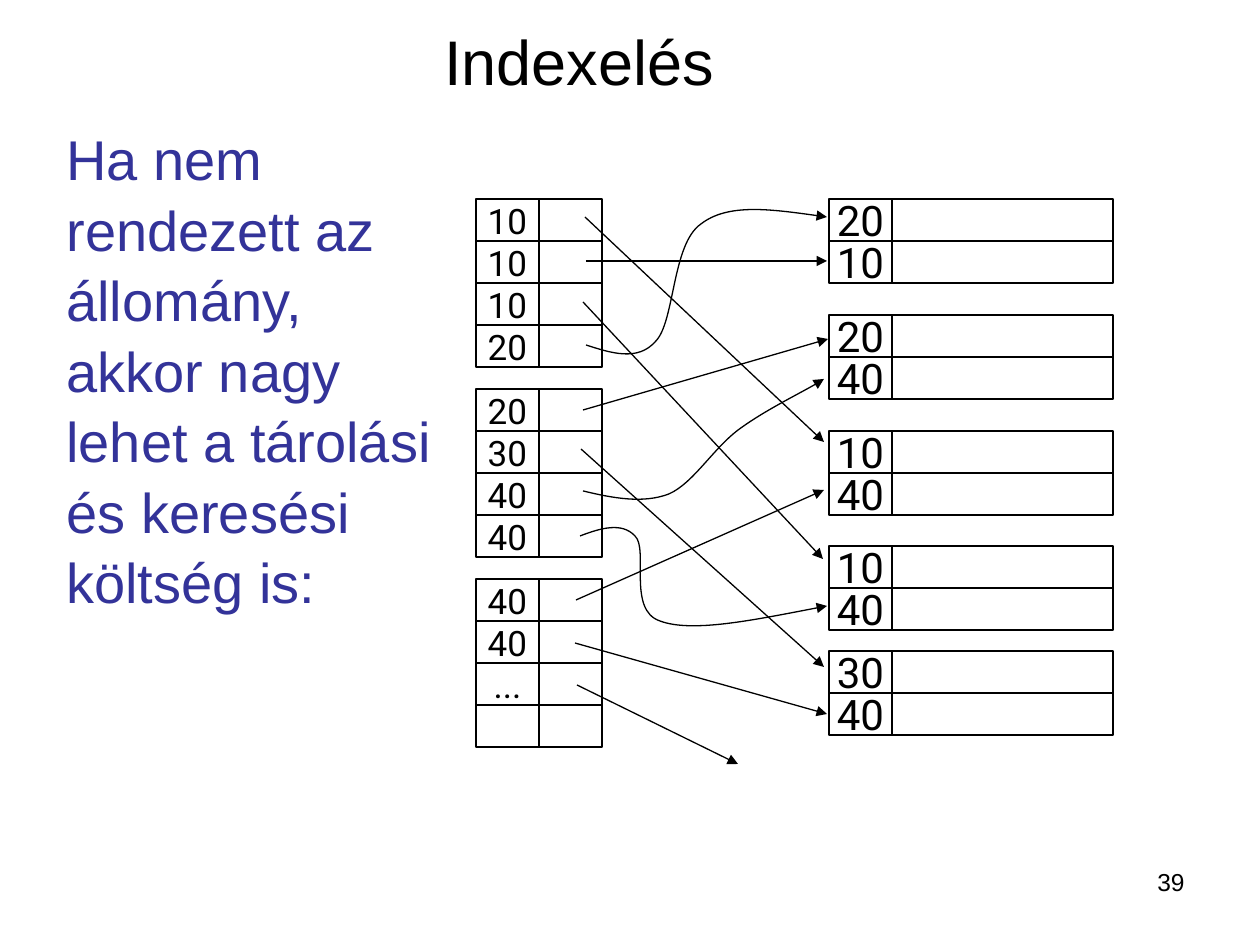
from dataclasses import dataclass

import lxml.etree
import pptx
import pptx.dml.color
import pptx.enum.shapes
import pptx.enum.text
import pptx.oxml.ns
import pptx.util

Align = pptx.enum.text.PP_ALIGN
Anchor = pptx.enum.text.MSO_ANCHOR
Shape = pptx.enum.shapes.MSO_SHAPE
qn = pptx.oxml.ns.qn
SCALE = 914400 / 126  # EMU per pixel


@dataclass(frozen=True)
class Theme:
    ink: str = "000000"
    paper: str = "FFFFFF"
    accent: str = "333399"
    sans: str = "Arial"
    mono: str = "Roboto"
    title: int = 36
    body: int = 32
    data: int = 24
    index: int = 20
    foot: int = 14
    line: float = 0.74


@dataclass(frozen=True)
class Block:
    left: int
    top: int
    wide: int  # width of the second column
    size: int
    keys: tuple[str, ...]


@dataclass(frozen=True)
class Arrow:
    start: tuple[int, int]
    end: tuple[int, int]


THEME = Theme()
ROW, KEY = 42, 63

INDEX = [Block(476, 199 + 190 * i, KEY, THEME.index, keys) for i, keys in enumerate([
    ("10", "10", "10", "20"),
    ("20", "30", "40", "40"),
    ("40", "40", "...", ""),
])]
DATA = [Block(829, top, 221, THEME.data, keys) for top, keys in [
    (199, ("20", "10")),
    (315, ("20", "40")),
    (431, ("10", "40")),
    (546, ("10", "40")),
    (651, ("30", "40")),
]]
ARROWS = [
    Arrow((586, 261), (827, 261)),
    Arrow((585, 217), (824, 442)),
    Arrow((583, 302), (823, 559)),
    Arrow((583, 410), (828, 339)),
    Arrow((581, 449), (824, 667)),
    Arrow((575, 643), (827, 714)),
    Arrow((576, 600), (824, 490)),
    Arrow((577, 685), (738, 764)),
]
# Each curve: a start, then three Bezier points per part
CURVES = [
    [(586, 345), (611, 353), (638, 362), (656, 341), (675, 321),
     (672, 244), (701, 224), (728, 203), (777, 210), (827, 217)],
    [(583, 491), (612, 498), (643, 504), (669, 494), (694, 483),
     (714, 447), (741, 428), (766, 410), (811, 388), (824, 379)],
    [(580, 536), (601, 528), (622, 522), (635, 536), (649, 549),
     (627, 610), (660, 621), (692, 633), (759, 619), (827, 606)],
]


def emu(*nums: int) -> list[pptx.util.Emu]:
    return [pptx.util.Emu(round(n * SCALE)) for n in nums]


def tint(code: str) -> pptx.dml.color.RGBColor:
    return pptx.dml.color.RGBColor.from_string(code)


def write(shape, text: str, *, size: int, font: str = THEME.sans, color: str = THEME.ink,
          align=Align.LEFT, anchor=Anchor.TOP, wrap: bool = True,
          before: int = 0, pitch: float = 1.0) -> None:
    frame = shape.text_frame
    frame.auto_size = pptx.enum.text.MSO_AUTO_SIZE.NONE
    frame.word_wrap = wrap
    frame.vertical_anchor = anchor
    para = frame.paragraphs[0]
    para.alignment = align
    para.space_before = pptx.util.Pt(before)
    para.line_spacing = pitch
    run = para.add_run()
    run.text = text
    run.font.name = font
    run.font.size = pptx.util.Pt(size)
    run.font.color.rgb = tint(color)


def stroke(shape) -> None:
    shape.line.color.rgb = tint(THEME.ink)
    shape.line.width = pptx.util.Pt(THEME.line)


def point(shape) -> None:
    """Put an arrowhead at the end of a line."""
    stroke(shape)
    edge = shape._element.spPr.find(qn("a:ln"))
    lxml.etree.SubElement(edge, qn("a:tailEnd"), type="triangle")


def draw_cell(group, left: int, top: int, width: int, text: str, size: int) -> None:
    cell = group.shapes.add_shape(Shape.RECTANGLE, *emu(left, top, width, ROW))
    cell.shadow.inherit = False
    cell.fill.solid()
    cell.fill.fore_color.rgb = tint(THEME.paper)
    stroke(cell)
    if text:
        write(cell, text, size=size, font=THEME.mono, align=Align.CENTER,
              anchor=Anchor.MIDDLE, wrap=False)


def draw_block(slide, block: Block) -> None:
    group = slide.shapes.add_group_shape()
    for i, key in enumerate(block.keys):
        top = block.top + i * ROW
        draw_cell(group, block.left, top, KEY, key, block.size)
        draw_cell(group, block.left + KEY, top, block.wide, "", block.size)


def draw_arrow(slide, arrow: Arrow) -> None:
    line = slide.shapes.add_connector(
        pptx.enum.shapes.MSO_CONNECTOR.STRAIGHT, *emu(*arrow.start, *arrow.end))
    point(line)
    lxml.etree.SubElement(line._element.spPr, qn("a:effectLst"))


def draw_curve(slide, spots: list[tuple[int, int]]) -> None:
    maker = slide.shapes.build_freeform(*spots[0], scale=SCALE)
    maker.add_line_segments(spots[1:], close=False)
    curve = maker.convert_to_shape()
    curve.shadow.inherit = False
    curve.fill.background()
    point(curve)
    # Join each three straight parts into one Bezier part
    steps = list(curve._element.iter(qn("a:lnTo")))
    for i in range(0, len(steps), 3):
        bend = lxml.etree.Element(qn("a:cubicBezTo"))
        steps[i].addprevious(bend)
        for step in steps[i:i + 3]:
            bend.append(step[0])
            step.getparent().remove(step)


def main() -> None:
    deck = pptx.Presentation()
    deck.slide_width, deck.slide_height = emu(1260, 945)
    slide = deck.slides.add_slide(deck.slide_layouts[5])

    # Page number and title
    page = slide.shapes.add_textbox(*emu(903, 861, 294, 66))
    write(page, "39", size=THEME.foot, align=Align.RIGHT)
    title = slide.shapes.title
    title.left, title.top, title.width, title.height = emu(33, 26, 1092, 69)
    write(title, "Indexelés", size=THEME.title, align=Align.CENTER, anchor=Anchor.MIDDLE)

    # Data file, index and pointers
    for block in DATA + INDEX:
        draw_block(slide, block)
    for arrow in ARROWS:
        draw_arrow(slide, arrow)
    for curve in CURVES:
        draw_curve(slide, curve)

    # Claim
    claim = slide.shapes.add_textbox(*emu(54, 115, 407, 484))
    write(claim, "Ha nem rendezett az állomány, akkor nagy lehet a tárolási "
          "és keresési költség is:", size=THEME.body, color=THEME.accent,
          before=20, pitch=1.05)

    deck.save("out.pptx")


main()
